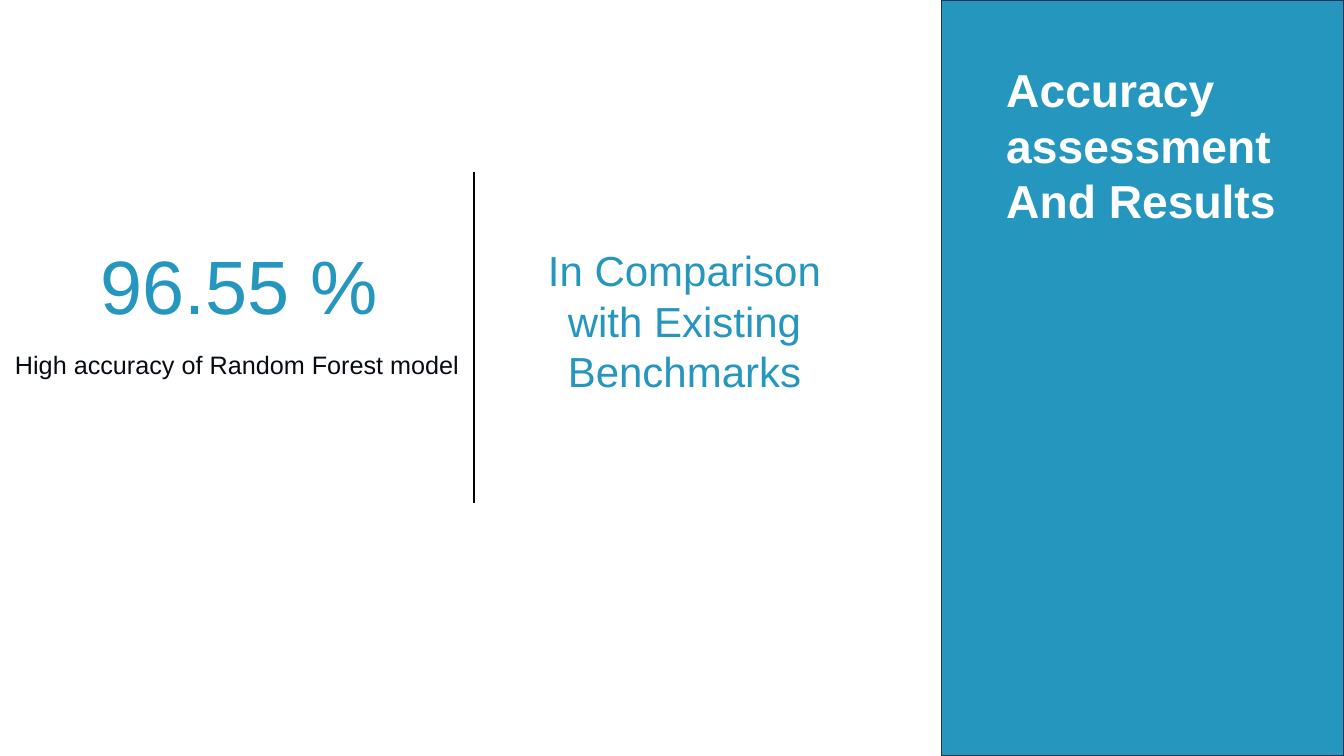
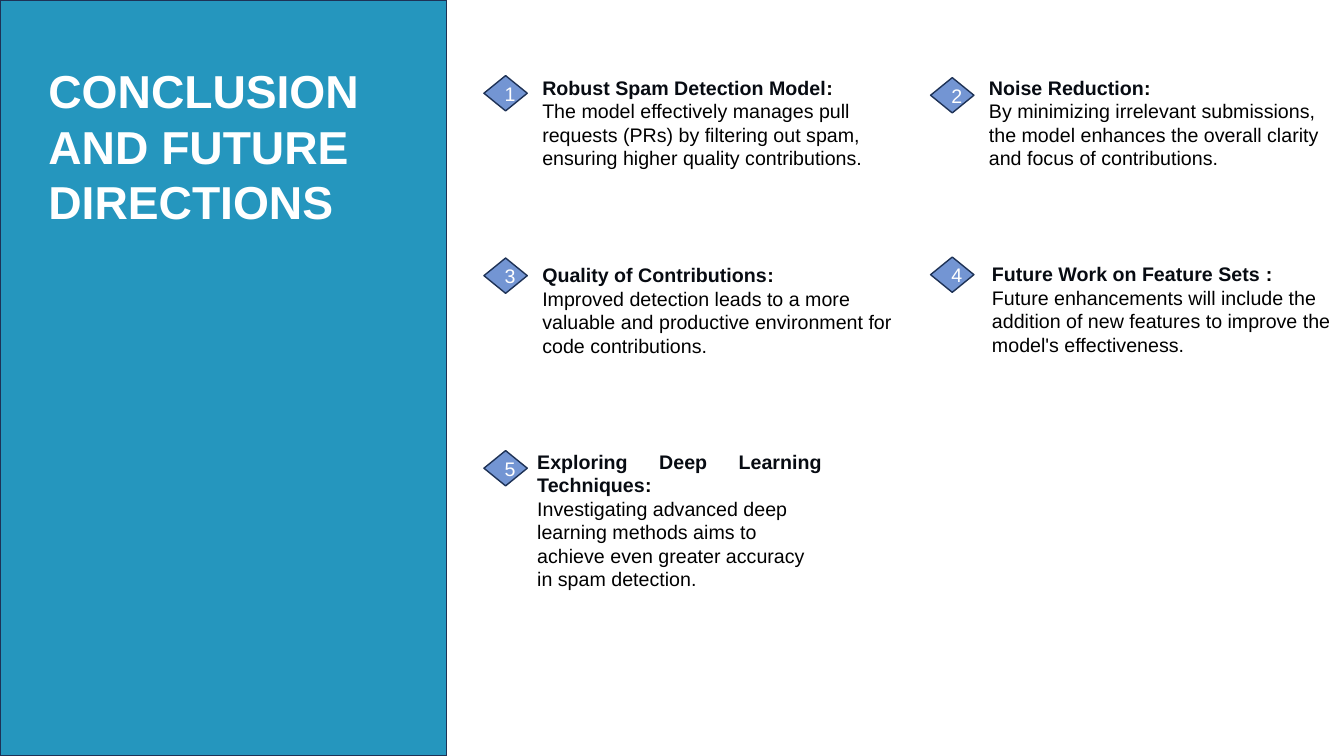
from dataclasses import dataclass
from typing import NamedTuple

from lxml.etree import SubElement
from pptx import Presentation
from pptx.dml.color import RGBColor
from pptx.enum.shapes import MSO_CONNECTOR, MSO_SHAPE
from pptx.enum.text import MSO_ANCHOR, MSO_AUTO_SIZE, PP_ALIGN
from pptx.oxml.ns import qn
from pptx.shapes.autoshape import Shape
from pptx.slide import Slide
from pptx.text.text import TextFrame
from pptx.util import Inches, Pt

COLORS = {
    "panel": "2596BE",
    "outline": "1E3256",
    "badge": "7395D3",
    "heading": "070B12",
    "body": "000000",
    "white": "FFFFFF",
}
FONT = "Arial"
SLIDE_WIDTH, SLIDE_HEIGHT = 13.33, 7.5
BADGE_COLUMNS = (4.8, 9.23)
BADGE_WIDTH, BADGE_HEIGHT = 0.43, 0.35


class Box(NamedTuple):
    left: float
    top: float
    width: float
    height: float

    def lengths(self) -> list[Inches]:
        return [Inches(value) for value in self]


@dataclass(frozen=True)
class Finding:
    heading: str
    colon: str
    body: str
    badge_top: float
    box: Box


FINDINGS = (
    Finding(
        "Robust Spam Detection Model", ":",
        "The model effectively manages pull requests (PRs) by filtering out spam, "
        "ensuring higher quality contributions.",
        0.75, Box(5.28, 0.7, 3.72, 1.04),
    ),
    Finding(
        "Noise Reduction", ":",
        "By minimizing irrelevant submissions, the model enhances the overall clarity "
        "and focus of contributions.",
        0.77, Box(9.71, 0.7, 3.72, 1.04),
    ),
    Finding(
        "Quality of Contributions", ":",
        "Improved detection leads to a more valuable and productive environment for "
        "code contributions.",
        2.56, Box(5.28, 2.56, 3.72, 1.04),
    ),
    Finding(
        "Future Work on Feature Sets", " :",
        "Future enhancements will include the addition of new features to improve the "
        "model's effectiveness.",
        2.55, Box(9.74, 2.55, 3.68, 1.04),
    ),
    Finding(
        "Exploring Deep Learning Techniques", ":",
        "Investigating advanced deep learning methods aims to achieve even greater "
        "accuracy in spam detection.",
        4.47, Box(5.23, 4.41, 3.02, 1.75),
    ),
)


def rgb(name: str) -> RGBColor:
    return RGBColor.from_string(COLORS[name])


def write(
    frame: TextFrame,
    text: str,
    *,
    size: float,
    color: str,
    bold: bool = False,
    align: PP_ALIGN = PP_ALIGN.LEFT,
    same_line: bool = False,
) -> None:
    paragraph = frame.paragraphs[-1]
    if paragraph.runs and not same_line:
        paragraph = frame.add_paragraph()
    if not same_line:
        paragraph.alignment = align
    run = paragraph.add_run()
    run.text = text
    run.font.name = FONT
    run.font.size = Pt(size)
    run.font.bold = bold
    run.font.color.rgb = rgb(color)


def add_text_frame(slide: Slide, box: Box, wrap: bool = True) -> TextFrame:
    frame = slide.shapes.add_textbox(*box.lengths()).text_frame
    frame.word_wrap = wrap
    frame.auto_size = MSO_AUTO_SIZE.SHAPE_TO_FIT_TEXT
    return frame


def add_outlined(slide: Slide, preset: MSO_SHAPE, box: Box, fill: str) -> Shape:
    shape = slide.shapes.add_shape(preset, *box.lengths())
    shape.shadow.inherit = False
    shape.fill.solid()
    shape.fill.fore_color.rgb = rgb(fill)
    shape.line.color.rgb = rgb("outline")
    shape.line.width = Pt(1)
    return shape


def add_panel_slide(deck, panel_box: Box, title_box: Box, title_lines: list[str]) -> Slide:
    slide = deck.slides.add_slide(deck.slide_layouts.get_by_name("Title Only"))
    panel = add_outlined(slide, MSO_SHAPE.RECTANGLE, panel_box, "panel")
    title = slide.shapes.title
    panel.element.addnext(title.element)
    title.left, title.top, title.width, title.height = title_box.lengths()
    frame = title.text_frame
    frame.word_wrap = True
    frame.auto_size = MSO_AUTO_SIZE.NONE
    frame.vertical_anchor = MSO_ANCHOR.TOP
    for line in title_lines:
        write(frame, line, size=33, color="white", bold=True)
    return slide


def add_divider(slide: Slide, x: float, top: float, bottom: float) -> None:
    divider = slide.shapes.add_connector(
        MSO_CONNECTOR.STRAIGHT, Inches(x), Inches(top), Inches(x), Inches(bottom)
    )
    divider.line.color.rgb = rgb("body")
    divider.line.width = Pt(1.9)
    SubElement(divider.element.spPr, qn("a:effectLst"))


def add_finding(slide: Slide, index: int, finding: Finding) -> None:
    badge_left = BADGE_COLUMNS[index % len(BADGE_COLUMNS)]
    badge_box = Box(badge_left, finding.badge_top, BADGE_WIDTH, BADGE_HEIGHT)
    badge = add_outlined(slide, MSO_SHAPE.DIAMOND, badge_box, "badge")
    badge.text_frame.vertical_anchor = MSO_ANCHOR.MIDDLE
    write(badge.text_frame, str(index + 1), size=14, color="white", align=PP_ALIGN.CENTER)

    frame = add_text_frame(slide, finding.box)
    write(frame, finding.heading, size=14, color="heading", bold=True, align=PP_ALIGN.JUSTIFY)
    write(frame, finding.colon, size=14, color="body", bold=True, same_line=True)
    write(frame, finding.body, size=14, color="body")


def build_results(deck) -> None:
    slide = add_panel_slide(
        deck,
        Box(9.34, 0, 3.99, SLIDE_HEIGHT),
        Box(9.88, 0.56, 3.4, 1.77),
        ["Accuracy assessment", "And Results"],
    )
    add_divider(slide, 4.7, 1.71, 4.99)
    accuracy = add_text_frame(slide, Box(0.81, 2.32, 3.13, 1.01))
    write(accuracy, "96.55 %", size=54, color="panel", align=PP_ALIGN.CENTER)
    comparison = add_text_frame(slide, Box(5.11, 2.38, 3.36, 1.62))
    write(
        comparison, "In Comparison with Existing Benchmarks",
        size=30, color="panel", align=PP_ALIGN.CENTER,
    )
    caption = add_text_frame(slide, Box(0.05, 3.42, 4.65, 0.4), wrap=False)
    write(caption, "High accuracy of Random Forest model", size=18, color="heading")


def build_conclusion(deck) -> None:
    slide = add_panel_slide(
        deck,
        Box(0, 0, 4.43, SLIDE_HEIGHT),
        Box(0.38, 0.57, 3.7, 1.77),
        ["CONCLUSION AND FUTURE DIRECTIONS"],
    )
    for index, finding in enumerate(FINDINGS):
        add_finding(slide, index, finding)


def main() -> None:
    deck = Presentation()
    deck.slide_width = Inches(SLIDE_WIDTH)
    deck.slide_height = Inches(SLIDE_HEIGHT)
    build_results(deck)
    build_conclusion(deck)
    deck.save("out.pptx")


if __name__ == "__main__":
    main()
